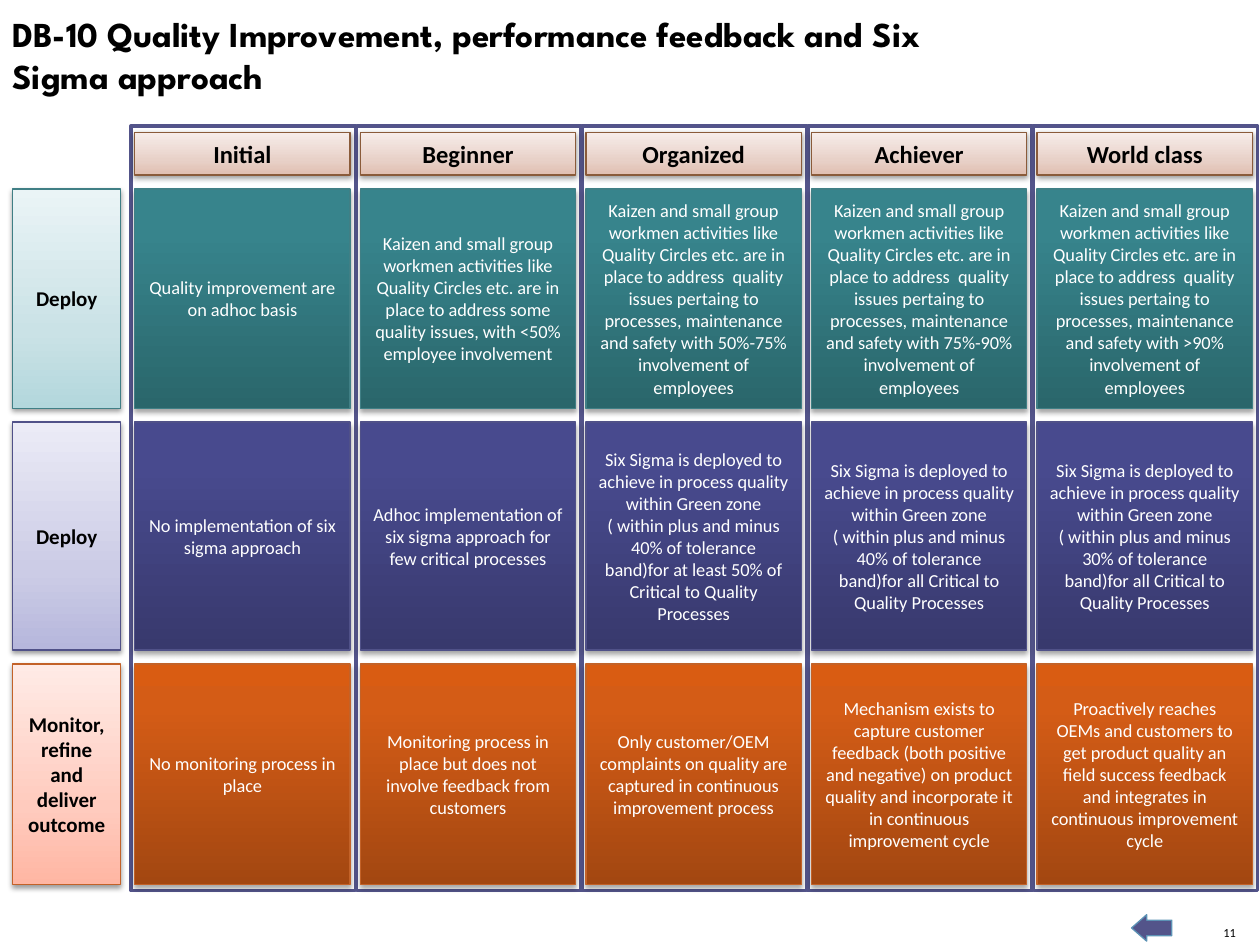
from copy import deepcopy
from dataclasses import dataclass
from typing import Any, NamedTuple

from lxml.etree import SubElement
from pptx import Presentation
from pptx.dml.color import RGBColor
from pptx.enum.shapes import MSO_SHAPE
from pptx.enum.text import MSO_ANCHOR, MSO_AUTO_SIZE, PP_ALIGN
from pptx.oxml.ns import qn
from pptx.util import Pt


class Area(NamedTuple):
    left: float
    top: float
    width: float
    height: float

    def lengths(self) -> list[Pt]:
        return [Pt(value) for value in self]


class Shadow(NamedTuple):
    distance: float
    opacity: int


class Paint(NamedTuple):
    stops: tuple[tuple[float, str], ...]
    line: str
    shadow: Shadow


class TextStyle(NamedTuple):
    size: float
    color: str
    bold: bool = False
    font: str = "Calibri"
    align: PP_ALIGN = PP_ALIGN.CENTER


def pale(low: str, middle: str, high: str, line: str) -> Paint:
    return Paint(((0, low), (0.35, middle), (1, high)), line, Shadow(1.6, 38))


def deep(low: str, middle: str, high: str, line: str) -> Paint:
    return Paint(((0, low), (0.8, middle), (1, high)), line, Shadow(1.8, 35))


@dataclass(frozen=True)
class Theme:
    title = TextStyle(20, "000000", True, "League Spartan", PP_ALIGN.LEFT)
    header = TextStyle(14, "000000", True)
    label = TextStyle(12, "000000", True)
    body = TextStyle(10.5, "FFFFFF")
    number = TextStyle(7.1, "000000", align=PP_ALIGN.RIGHT)
    white = "FFFFFF"
    indigo = "53548A"
    arrow_line = "5C92B5"
    header_paint = pale("E0BEB0", "E8D1C8", "F7EDEA", "8A5B3A")
    teal_pale = pale("B3D7DC", "CAE2E6", "EAF4F6", "407F85")
    teal = deep("2A666B", "37848C", "36868E", "407F85")
    violet_pale = pale("B6B7DC", "CCCCE6", "EBEBF6", "505188")
    violet = deep("38396D", "484A8E", "474990", "505188")
    orange_pale = pale("FFB6A3", "FFCBBE", "FFEBE6", "C36228")
    orange = deep("A34711", "D45C16", "D95C12", "C36228")


THEME = Theme()


@dataclass(frozen=True)
class Stage:
    label: str
    height: float
    label_paint: Paint
    card_paint: Paint
    cards: tuple[str, ...]


def kaizen(share: str) -> str:
    return (
        "Kaizen and small group workmen activities like Quality Circles etc. are in place "
        "to address  quality issues pertaing to processes, maintenance and safety with "
        f"{share} involvement of employees"
    )


def six_sigma(tolerance: str, scope: str) -> str:
    return (
        "Six Sigma is deployed to achieve in process quality within Green zone "
        f"( within plus and minus {tolerance} of tolerance band)for {scope} "
        "Critical to Quality Processes"
    )


LEVELS = ("Initial", "Beginner", "Organized", "Achiever", "World class")
STAGES = (
    Stage("Deploy", 125.3, THEME.teal_pale, THEME.teal, (
        "Quality improvement are on adhoc basis",
        "Kaizen and small group workmen activities like Quality Circles etc. are in place "
        "to address some quality issues, with <50% employee involvement",
        kaizen("50%-75%"),
        kaizen("75%-90%"),
        kaizen(">90%"),
    )),
    Stage("Deploy", 130.3, THEME.violet_pale, THEME.violet, (
        "No implementation of six sigma approach",
        "Adhoc implementation of six sigma approach for few critical processes",
        six_sigma("40%", "at least 50% of"),
        six_sigma("40%", "all"),
        six_sigma("30%", "all"),
    )),
    Stage("Monitor, refine and deliver outcome", 126, THEME.orange_pale, THEME.orange, (
        "No monitoring process in place",
        "Monitoring process in place but does not involve feedback from customers",
        "Only customer/OEM complaints on quality are captured in continuous improvement process",
        "Mechanism exists to capture customer feedback (both positive and negative) on product "
        "quality and incorporate it in continuous improvement cycle",
        "Proactively reaches OEMs and customers to get product quality an field success "
        "feedback and integrates in continuous improvement cycle",
    )),
)

COLUMN_STEP = 128.9
FRAME = Area(74.9, 72, 128.2, 437)
HEADER = Area(77, 75.6, 123.1, 24.5)
LABEL_LEFT, LABEL_WIDTH = 7.2, 61.9
ROW_GAP = 7.9


def apply(target: Any, values: dict[str, Any]) -> None:
    for name, value in values.items():
        setattr(target, name, value)


def write(box: Any, text: str, style: TextStyle, frame_format: dict[str, Any]) -> None:
    apply(box.text_frame, frame_format)
    paragraph = box.text_frame.paragraphs[0]
    paragraph.alignment = style.align
    span = paragraph.add_run()
    span.text = text
    apply(span.font, {"name": style.font, "size": Pt(style.size), "bold": style.bold})
    span.font.color.rgb = RGBColor.from_string(style.color)


def add_text(page: Any, area: Area, text: str, style: TextStyle,
             frame_format: dict[str, Any]) -> None:
    write(page.shapes.add_textbox(*area.lengths()), text, style, frame_format)


def add_plain(page: Any, kind: MSO_SHAPE, area: Area, fill: str, line: str,
              weight: float) -> Any:
    shape = page.shapes.add_shape(kind, *area.lengths())
    shape.shadow.inherit = False
    shape.fill.solid()
    shape.fill.fore_color.rgb = RGBColor.from_string(fill)
    shape.line.color.rgb = RGBColor.from_string(line)
    shape.line.width = Pt(weight)
    return shape


def add_card(page: Any, area: Area, text: str, style: TextStyle, paint: Paint) -> None:
    card = add_plain(page, MSO_SHAPE.RECTANGLE, area, THEME.white, paint.line, 0.75)
    properties = card.element.spPr
    card.fill.gradient()
    card.fill.gradient_angle = 90
    stop_list = properties.find(".//" + qn("a:gsLst"))
    stop_list.append(deepcopy(stop_list[-1]))
    for stop, (position, color) in zip(card.fill.gradient_stops, paint.stops):
        stop.position = position
        stop.color.rgb = RGBColor.from_string(color)
    shadow = SubElement(properties.find(qn("a:effectLst")), qn("a:outerShdw"), {
        "blurRad": str(Pt(3.1)), "dist": str(Pt(paint.shadow.distance)),
        "dir": "5400000", "rotWithShape": "0",
    })
    black = SubElement(shadow, qn("a:srgbClr"), val="000000")
    SubElement(black, qn("a:alpha"), val=str(paint.shadow.opacity * 1000))
    write(card, text, style, {"word_wrap": True, "vertical_anchor": MSO_ANCHOR.MIDDLE})


def add_row(page: Any, top: float, height: float, texts: tuple[str, ...],
            style: TextStyle, paint: Paint) -> None:
    for column, text in enumerate(texts):
        left = HEADER.left + column * COLUMN_STEP
        add_card(page, Area(left, top, HEADER.width, height), text, style, paint)


def main() -> None:
    deck = Presentation()
    apply(deck, {"slide_width": Pt(720), "slide_height": Pt(540)})
    page = deck.slides.add_slide(deck.slide_layouts[6])

    margins = dict.fromkeys(("margin_left", "margin_top", "margin_right", "margin_bottom"), 0)
    add_text(page, Area(697.7, 528.5, 8.6, 8.6), "11", THEME.number, margins | {
        "word_wrap": False, "vertical_anchor": MSO_ANCHOR.BOTTOM,
        "auto_size": MSO_AUTO_SIZE.SHAPE_TO_FIT_TEXT})
    arrow = add_plain(page, MSO_SHAPE.RIGHT_ARROW, Area(646.6, 522.7, 23, 15.1),
                      THEME.indigo, THEME.arrow_line, 0.75)
    arrow.rotation = 180
    arrow.adjustments[0], arrow.adjustments[1] = 0.59, 0.57
    add_text(page, Area(0, 3.6, 554.4, 55.4),
             "DB-10 Quality Improvement, performance feedback and Six Sigma approach",
             THEME.title, {"word_wrap": True, "auto_size": MSO_AUTO_SIZE.SHAPE_TO_FIT_TEXT})

    for column in range(len(LEVELS)):
        area = FRAME._replace(left=FRAME.left + column * COLUMN_STEP)
        add_plain(page, MSO_SHAPE.RECTANGLE, area, THEME.white, THEME.indigo, 2)

    add_row(page, HEADER.top, HEADER.height, LEVELS, THEME.header, THEME.header_paint)
    top = HEADER.top + HEADER.height + ROW_GAP
    for stage in STAGES:
        add_card(page, Area(LABEL_LEFT, top, LABEL_WIDTH, stage.height), stage.label,
                 THEME.label, stage.label_paint)
        add_row(page, top, stage.height, stage.cards, THEME.body, stage.card_paint)
        top += stage.height + ROW_GAP

    deck.save("out.pptx")


if __name__ == "__main__":
    main()
